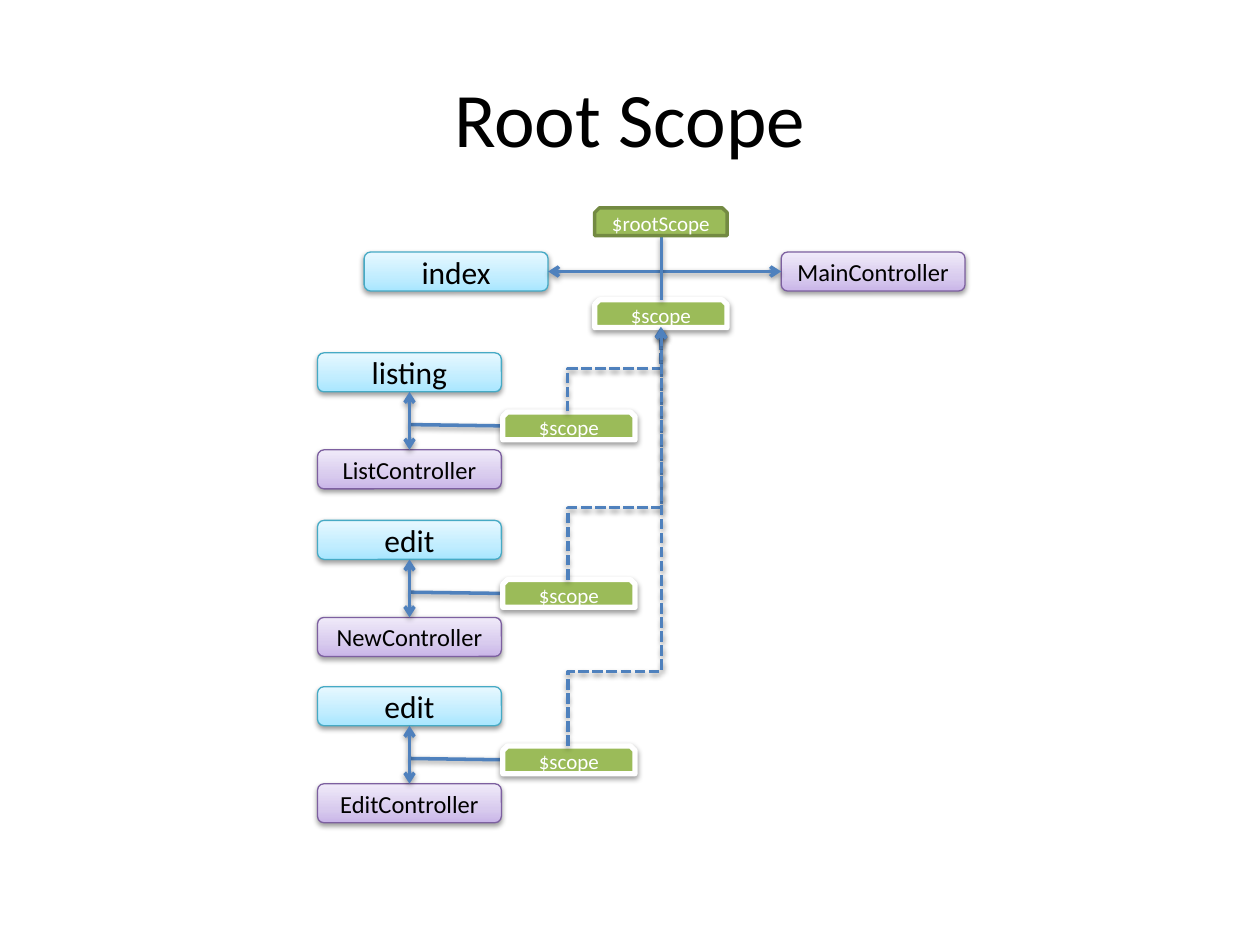
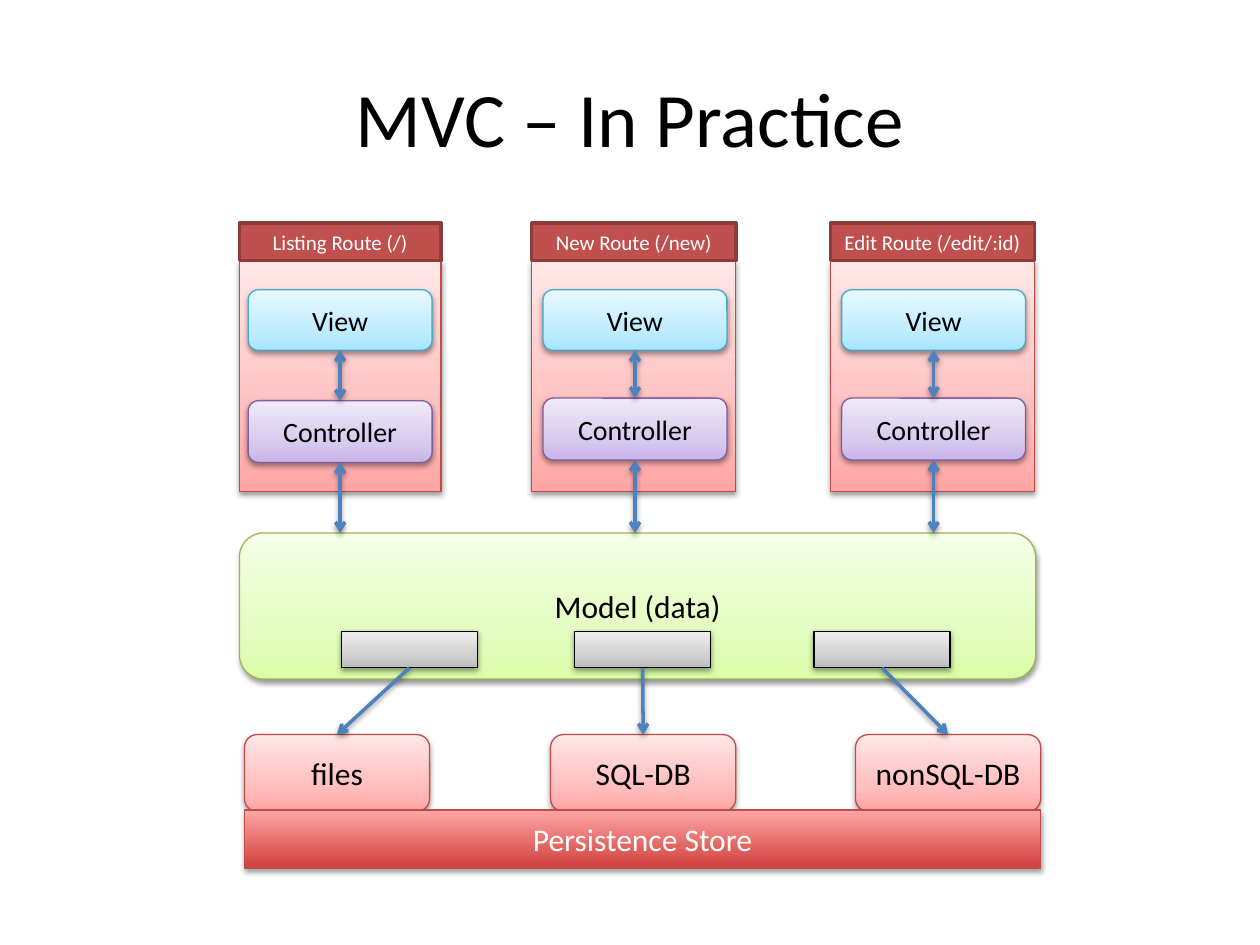
"""Build two slides on scopes and MVC in a web application."""
from copy import deepcopy

from lxml.etree import SubElement
from pptx import Presentation
from pptx.dml.color import RGBColor
from pptx.enum.dml import MSO_LINE
from pptx.enum.shapes import MSO_CONNECTOR as Wire, MSO_SHAPE as Form
from pptx.enum.text import MSO_ANCHOR, PP_ALIGN
from pptx.oxml import parse_xml
from pptx.oxml.ns import qn
from pptx.util import Pt

PX = 9144
FONT = "Calibri"
TOP, LEFT, BOTTOM, RIGHT = range(4)
BOTH_ENDS = ("headEnd", "tailEnd")
COLORS = {
    "black": "000000", "white": "FFFFFF", "link": "4F81BD",
    "view_low": "A7E6FF", "view_mid": "C1EDFF", "view_high": "E7F8FF", "view_edge": "46AAC5",
    "control_low": "C9B5E8", "control_mid": "D8CBEE", "control_high": "F0EAF9", "control_edge": "7D60A0",
    "red_low": "FFA6A5", "red_mid": "FFC0BF", "red_high": "FFE7E7", "red_edge": "BF4C48",
    "model_low": "DAFDA7", "model_mid": "E4FCC2", "model_high": "F5FFE7", "model_edge": "98B955",
    "gray_low": "BDBDBD", "gray_mid": "D1D1D1", "gray_high": "EEEEEE",
    "scope": "9BBB59", "root_edge": "738A42",
    "route": "C0504D", "route_edge": "8E3B39", "store": "D1403C",
}
STYLES = {
    "view": (Form.ROUNDED_RECTANGLE, ("view_low", "view_mid", "view_high"), "view_edge", 0.75, "black"),
    "control": (Form.ROUNDED_RECTANGLE, ("control_low", "control_mid", "control_high"), "control_edge", 0.75, "black"),
    "model": (Form.ROUNDED_RECTANGLE, ("model_low", "model_mid", "model_high"), "model_edge", 0.75, "black"),
    "database": (Form.ROUNDED_RECTANGLE, ("red_low", "red_mid", "red_high"), "red_edge", 0.75, "black"),
    "panel": (Form.RECTANGLE, ("red_low", "red_mid", "red_high"), "red_edge", 0.75, "black"),
    "adapter": (Form.RECTANGLE, ("gray_low", "gray_mid", "gray_high"), "black", 0.75, "black"),
    "store": (Form.RECTANGLE, ("store", "red_low"), "red_edge", 0.75, "white"),
    "scope": (Form.SNIP_2_SAME_RECTANGLE, ("scope",), "white", 3, "white"),
    "root": (Form.SNIP_2_SAME_RECTANGLE, ("scope",), "root_edge", 2, "white"),
    "route": (Form.RECTANGLE, ("route",), "route_edge", 2, "white"),
}
FLAT_STYLES = ("root", "route")
SOFT_SHADOW = parse_xml(
    '<a:effectLst xmlns:a="http://schemas.openxmlformats.org/drawingml/2006/main">'
    '<a:outerShdw blurRad="40000" dist="20000" dir="5400000" rotWithShape="0">'
    '<a:srgbClr val="000000"><a:alpha val="38000"/></a:srgbClr></a:outerShdw></a:effectLst>'
)


def add_node(slide, style, box, text="", size=18):
    form, fills, edge, weight, ink = STYLES[style]
    node = slide.shapes.add_shape(form, *(length * PX for length in box))
    if len(fills) == 1:
        node.fill.solid()
        node.fill.fore_color.rgb = RGBColor.from_string(COLORS[fills[0]])
    else:
        node.fill.gradient()
        node.fill.gradient_angle = 90
        stops = node._element.spPr.find(".//" + qn("a:gsLst"))
        for stop in list(stops):
            stops.remove(stop)
        places = (0, 35, 100) if len(fills) == 3 else (0, 100)
        for place, fill in zip(places, fills):
            stop = SubElement(stops, qn("a:gs"), pos=str(place * 1000))
            SubElement(stop, qn("a:srgbClr"), val=COLORS[fill])
    node.line.color.rgb = RGBColor.from_string(COLORS[edge])
    node.line.width = Pt(weight)
    if style in FLAT_STYLES:
        node.shadow.inherit = False
    else:
        node._element.spPr.append(deepcopy(SOFT_SHADOW))
    if text:
        node.text_frame.text = text
        label = node.text_frame.paragraphs[0]
        label.alignment = PP_ALIGN.CENTER
        label.runs[0].font.name = FONT
        label.runs[0].font.size = Pt(size)
        label.runs[0].font.color.rgb = RGBColor.from_string(COLORS[ink])
    return node


def add_link(slide, start, end, arrows=(), wire=Wire.STRAIGHT):
    spots = [spot if isinstance(spot[0], int) else (0, 0) for spot in (start, end)]
    link = slide.shapes.add_connector(wire, *(length * PX for spot in spots for length in spot))
    if not isinstance(start[0], int):
        link.begin_connect(*start)
    if not isinstance(end[0], int):
        link.end_connect(*end)
    link.line.color.rgb = RGBColor.from_string(COLORS["link"])
    link.line.width = Pt(2)
    for arrow in arrows:
        SubElement(link.line._get_or_add_ln(), qn("a:" + arrow), type="arrow")
    link._element.spPr.append(deepcopy(SOFT_SHADOW))
    return link


deck = Presentation()
deck.slide_width, deck.slide_height = 1000 * PX, 750 * PX

for heading in ("Root Scope", "MVC – In Practice"):
    slide = deck.slides.add_slide(deck.slide_layouts[6])
    title = slide.shapes.add_textbox(50 * PX, 30 * PX, 900 * PX, 125 * PX).text_frame
    title.word_wrap = True
    title.vertical_anchor = MSO_ANCHOR.MIDDLE
    title.text = heading
    title.paragraphs[0].alignment = PP_ALIGN.CENTER
    title_font = title.paragraphs[0].runs[0].font
    title_font.name = FONT
    title_font.size = Pt(44)
    title_font.color.rgb = RGBColor.from_string(COLORS["black"])

scopes, practice = deck.slides

add_node(scopes, "scope", (472, 238, 105, 22), "$scope", 12)
for top, view_name, controller_name, bend in (
    (280, "listing", "ListController", 293),
    (413, "edit", "NewController", 403),
    (545, "edit", "EditController", 533),
):
    scope_top = top + 47
    add_link(scopes, (399, top + 58), (325, top + 57))
    view = add_node(scopes, "view", (252, top, 146, 31), view_name)
    controller = add_node(scopes, "control", (252, top + 77, 146, 31), controller_name, 14)
    add_link(scopes, (view, BOTTOM), (controller, TOP), BOTH_ENDS)
    add_node(scopes, "scope", (399, scope_top, 105, 22), "$scope", 12)

    rise, run = scope_top - 260, 525 - 451
    left, upper = (451 + 525 - rise) // 2, (scope_top + 260 - run) // 2
    parent = add_link(scopes, (left + rise, upper + run), (left, upper), ("tailEnd",), Wire.ELBOW)
    parent.line.dash_style = MSO_LINE.SQUARE_DOT
    geometry = parent._element.spPr
    geometry.find(qn("a:xfrm")).set("rot", "5400000")
    bend_share = round((scope_top - bend) / rise * 100000)
    SubElement(geometry.find(".//" + qn("a:avLst")), qn("a:gd"), name="adj1", fmla=f"val {bend_share}")

index = add_node(scopes, "view", (289, 200, 146, 31), "index")
main_controller = add_node(scopes, "control", (620, 200, 146, 31), "MainController", 14)
add_link(scopes, (main_controller, LEFT), (index, RIGHT), BOTH_ENDS)
add_link(scopes, (525, 238), (525, 187))
add_node(scopes, "root", (472, 165, 105, 22), "$rootScope", 12)

add_node(practice, "model", (190, 423, 632, 116), "Model (data)")
for left, width, view_left, controller_top, route in (
    (190, 160, 197, 318, "Listing Route (/)"),
    (422, 162, 431, 316, "New Route (/new)"),
    (659, 162, 668, 316, "Edit Route (/edit/:id)"),
):
    add_node(practice, "panel", (left, 207, width, 183))
    add_node(practice, "route", (left, 177, width, 30), route, 12)
    view = add_node(practice, "view", (view_left, 230, 146, 48), "View", 16)
    controller = add_node(practice, "control", (view_left, controller_top, 146, 49), "Controller", 16)
    add_link(practice, (view, BOTTOM), (controller, TOP), BOTH_ENDS)
    add_link(practice, (controller, BOTTOM), (view_left + 73, 423), BOTH_ENDS)

for database_left, adapter_left, database_name in (
    (194, 271, "files"), (437, 456, "SQL-DB"), (679, 646, "nonSQL-DB"),
):
    database = add_node(practice, "database", (database_left, 583, 147, 61), database_name)
    adapter = add_node(practice, "adapter", (adapter_left, 501, 108, 29))
    add_link(practice, (adapter, BOTTOM), (database, TOP), ("tailEnd",))
add_node(practice, "store", (194, 643, 632, 46), "Persistence Store")

deck.save("out.pptx")
